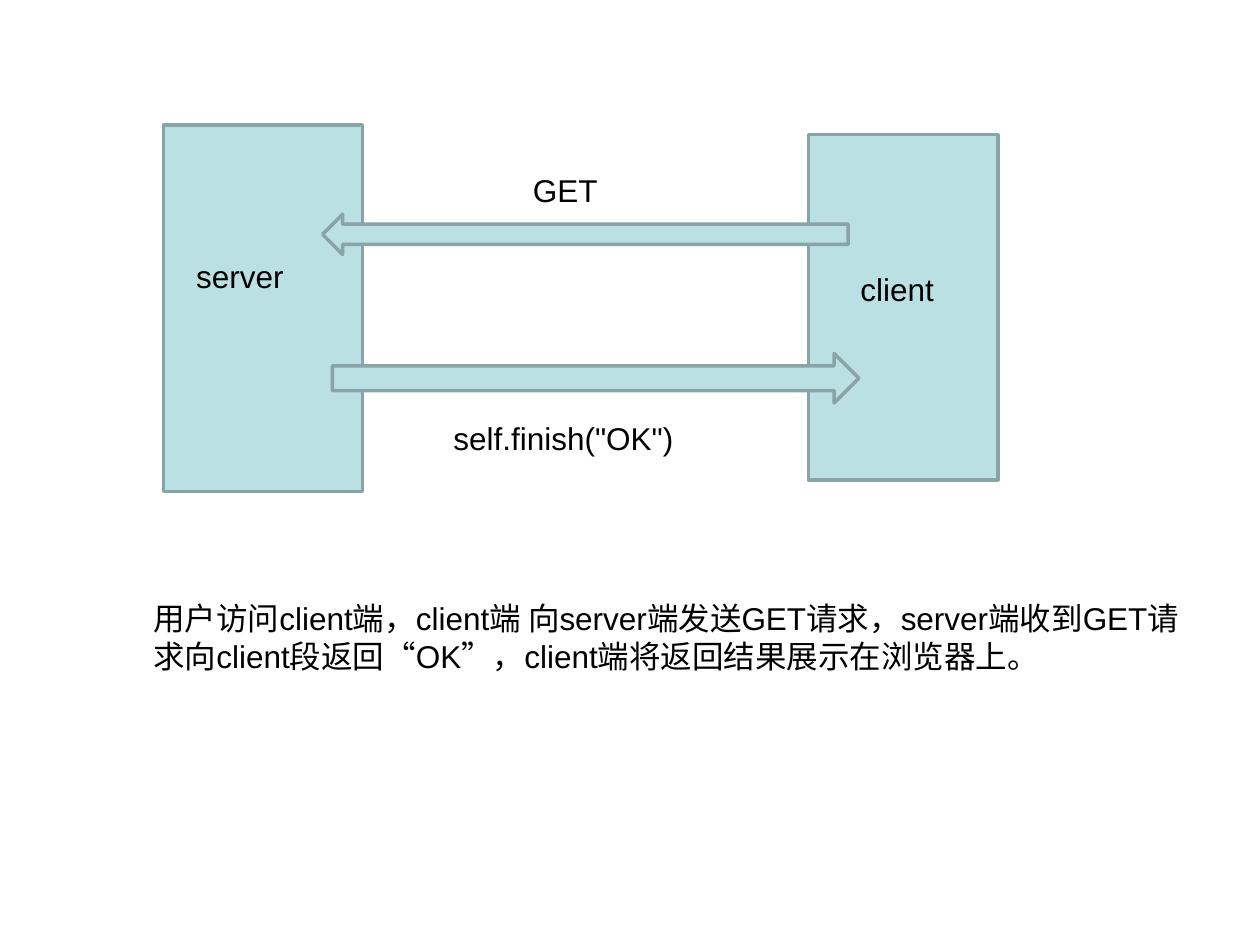
from pptx import Presentation
from pptx.dml.color import RGBColor
from pptx.enum.shapes import MSO_SHAPE
from pptx.enum.text import MSO_AUTO_SIZE
from pptx.util import Pt

RECTANGLE = MSO_SHAPE.RECTANGLE
LEFT_ARROW = MSO_SHAPE.LEFT_ARROW
RIGHT_ARROW = MSO_SHAPE.RIGHT_ARROW
GROW_TO_TEXT = MSO_AUTO_SIZE.SHAPE_TO_FIT_TEXT

PALE_TEAL = RGBColor(0xBB, 0xE0, 0xE3)
GREY_TEAL = RGBColor(0x89, 0xA4, 0xA7)
BLACK = RGBColor(0, 0, 0)

BLANK_LAYOUT = 6


class Diagram:
    """Style of the diagram and the slide it is drawn on."""

    font = "Arial"
    text_size = 18
    line_width = 2

    def __init__(self, slide):
        self.slide = slide

    def block(self, kind, left, top, width, height):
        shape = self.slide.shapes.add_shape(
            kind, Pt(left), Pt(top), Pt(width), Pt(height))
        shape.shadow.inherit = False
        shape.fill.solid()
        shape.fill.fore_color.rgb = PALE_TEAL
        shape.line.color.rgb = GREY_TEAL
        shape.line.width = Pt(self.line_width)
        return shape

    def label(self, text, left, top, width, height=29):
        box = self.slide.shapes.add_textbox(
            Pt(left), Pt(top), Pt(width), Pt(height))
        frame = box.text_frame
        frame.word_wrap = True
        frame.auto_size = GROW_TO_TEXT
        run = frame.paragraphs[0].add_run()
        run.text = text
        run.font.name = self.font
        run.font.size = Pt(self.text_size)
        run.font.color.rgb = BLACK
        return box


def main():
    prs = Presentation()
    prs.slide_width, prs.slide_height = Pt(720), Pt(540)
    diagram = Diagram(prs.slides.add_slide(prs.slide_layouts[BLANK_LAYOUT]))

    # The two ends of the exchange
    diagram.block(RECTANGLE, 462, 77, 108.3, 197.3)
    diagram.block(RECTANGLE, 93.5, 71.4, 113.6, 209.6)
    diagram.label("server", 105, 143.5, 96.5)
    diagram.label("client", 484.6, 151, 67)

    # Request from client to server
    diagram.block(LEFT_ARROW, 184.3, 122.4, 300.4, 23)
    diagram.label("GET", 297.4, 94.3, 60.5)

    # Response from server to client
    diagram.block(RIGHT_ARROW, 190, 202, 300.8, 28.3)
    diagram.label('self.finish("OK")', 252, 236, 180)

    # Explanation
    diagram.label(
        "用户访问client端，client端 向server端发送GET请求，server端收到"
        "GET请求向client段返回“OK”，client端将返回结果展示在浏览器上。",
        80.6, 339, 608.4, 50.4)

    prs.save("out.pptx")


if __name__ == "__main__":
    main()
